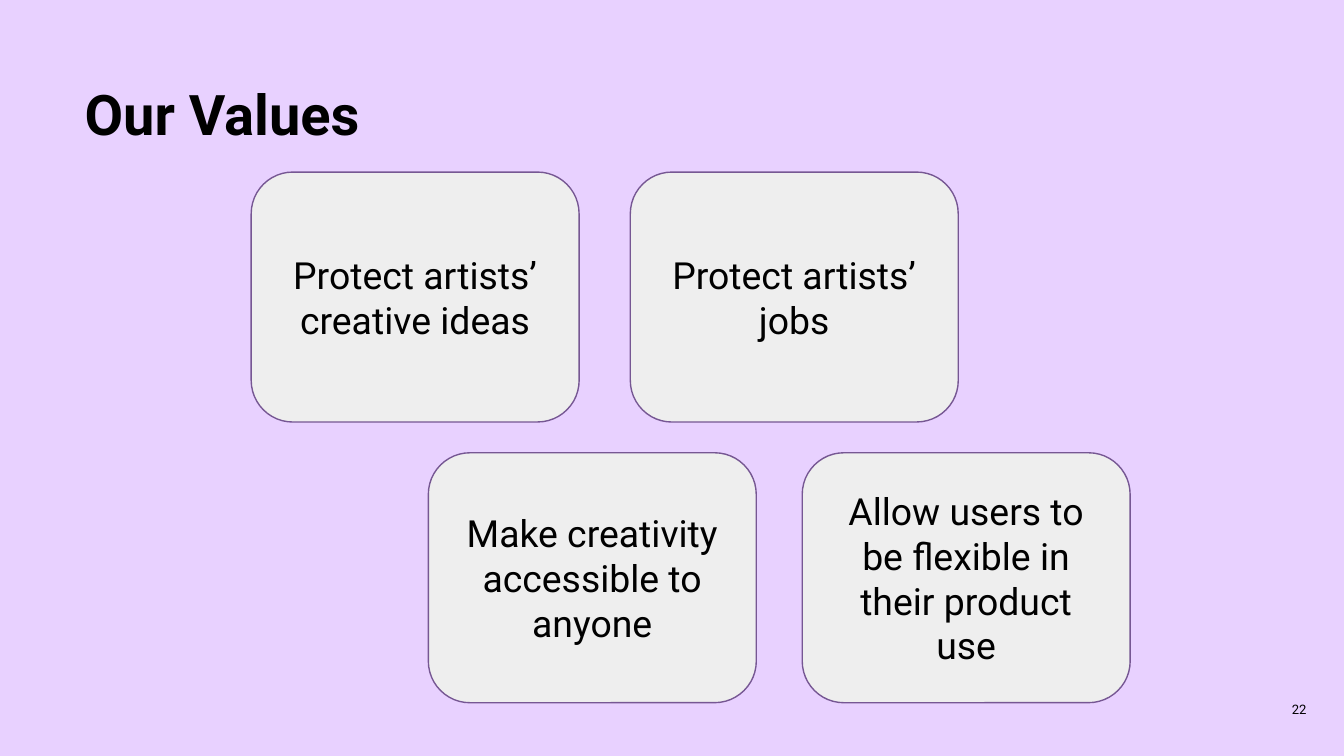
import pptx
import pptx.dml.color
import pptx.enum.shapes
import pptx.enum.text
import pptx.util

Pt = pptx.util.Pt
RGBColor = pptx.dml.color.RGBColor
Align = pptx.enum.text.PP_ALIGN
Anchor = pptx.enum.text.MSO_ANCHOR

LILAC = RGBColor(0xE8, 0xD1, 0xFF)
PALE_GRAY = RGBColor(0xEE, 0xEE, 0xEE)
PURPLE = RGBColor(0x76, 0x57, 0x93)
BLACK = RGBColor(0, 0, 0)

CARD_WIDTH, CARD_HEIGHT = 175.7, 133.9
VALUE_ROWS = [
    (92.2, [(134.6, "Protect artists’ creative ideas"),
            (337.7, "Protect artists’ jobs")]),
    (242.6, [(229.5, "Make creativity accessible to anyone"),
             (429.8, "Allow users to be flexible in their product use")]),
]


class ValuesSlide:
    font = "Roboto"
    inset = Pt(7.2)

    def __init__(self, deck):
        self.slide = deck.slides.add_slide(deck.slide_layouts[6])
        background = self.slide.background.fill
        background.solid()
        background.fore_color.rgb = LILAC

    def set_words(self, shape, words, size, align, anchor, bold=False):
        frame = shape.text_frame
        frame.word_wrap = True
        frame.vertical_anchor = anchor
        frame.margin_left = frame.margin_right = self.inset
        frame.margin_top = frame.margin_bottom = self.inset
        paragraph = frame.paragraphs[0]
        paragraph.alignment = align
        run = paragraph.add_run()
        run.text = words
        run.font.name = self.font
        run.font.size = Pt(size)
        run.font.bold = bold
        run.font.color.rgb = BLACK

    def label(self, left, top, width, height, words, size, align, anchor, bold=False):
        box = self.slide.shapes.add_textbox(Pt(left), Pt(top), Pt(width), Pt(height))
        self.set_words(box, words, size, align, anchor, bold)

    def card(self, left, top, words):
        card = self.slide.shapes.add_shape(
            pptx.enum.shapes.MSO_SHAPE.ROUNDED_RECTANGLE,
            Pt(left), Pt(top), Pt(CARD_WIDTH), Pt(CARD_HEIGHT))
        card.shadow.inherit = False
        card.fill.solid()
        card.fill.fore_color.rgb = PALE_GRAY
        card.line.color.rgb = PURPLE
        card.line.width = Pt(0.75)
        self.set_words(card, words, 20, Align.CENTER, Anchor.MIDDLE)


def main():
    deck = pptx.Presentation()
    deck.slide_width, deck.slide_height = Pt(720), Pt(405)
    values = ValuesSlide(deck)
    values.label(663.8, 364.3, 43.2, 31, "22", 7, Align.RIGHT, Anchor.MIDDLE)
    values.label(38.2, 35.3, 644.4, 59.8, "Our Values", 30, Align.LEFT, Anchor.TOP, bold=True)
    for top, cards in VALUE_ROWS:
        for left, words in cards:
            values.card(left, top, words)
    deck.save("out.pptx")


if __name__ == "__main__":
    main()
